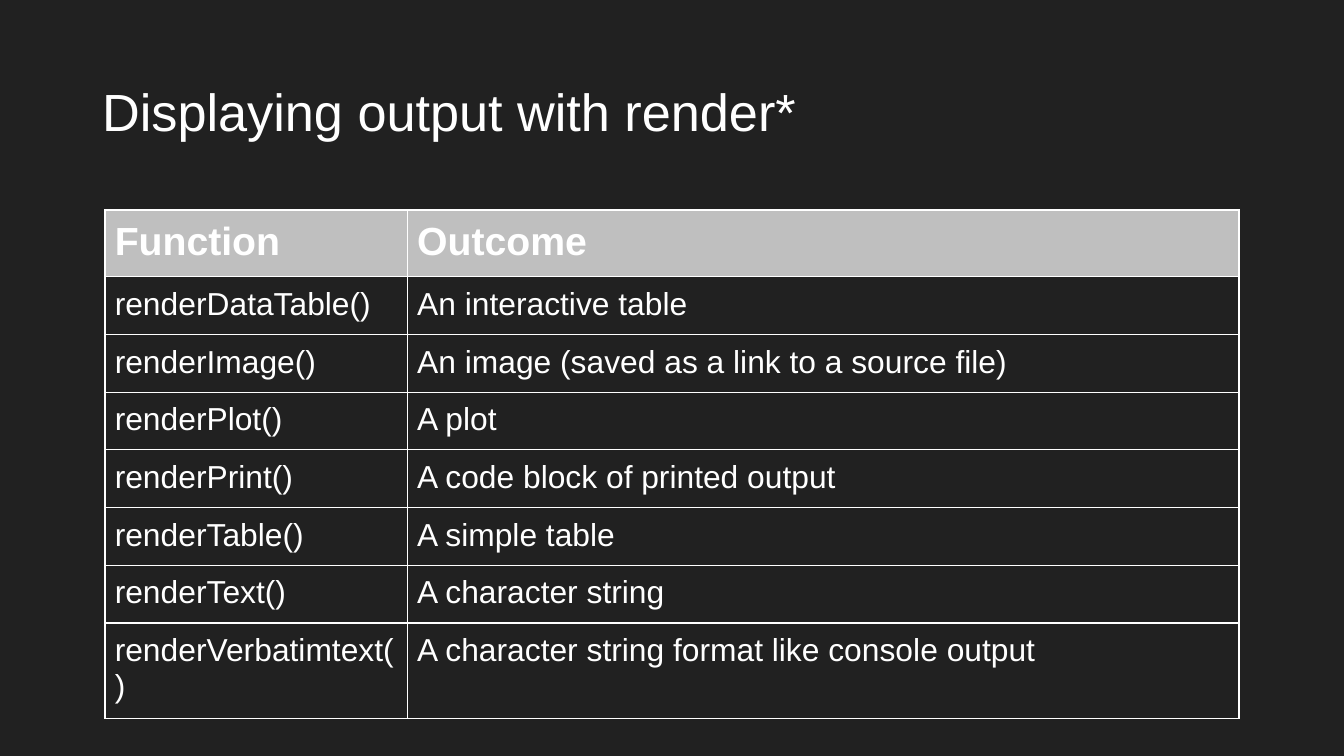
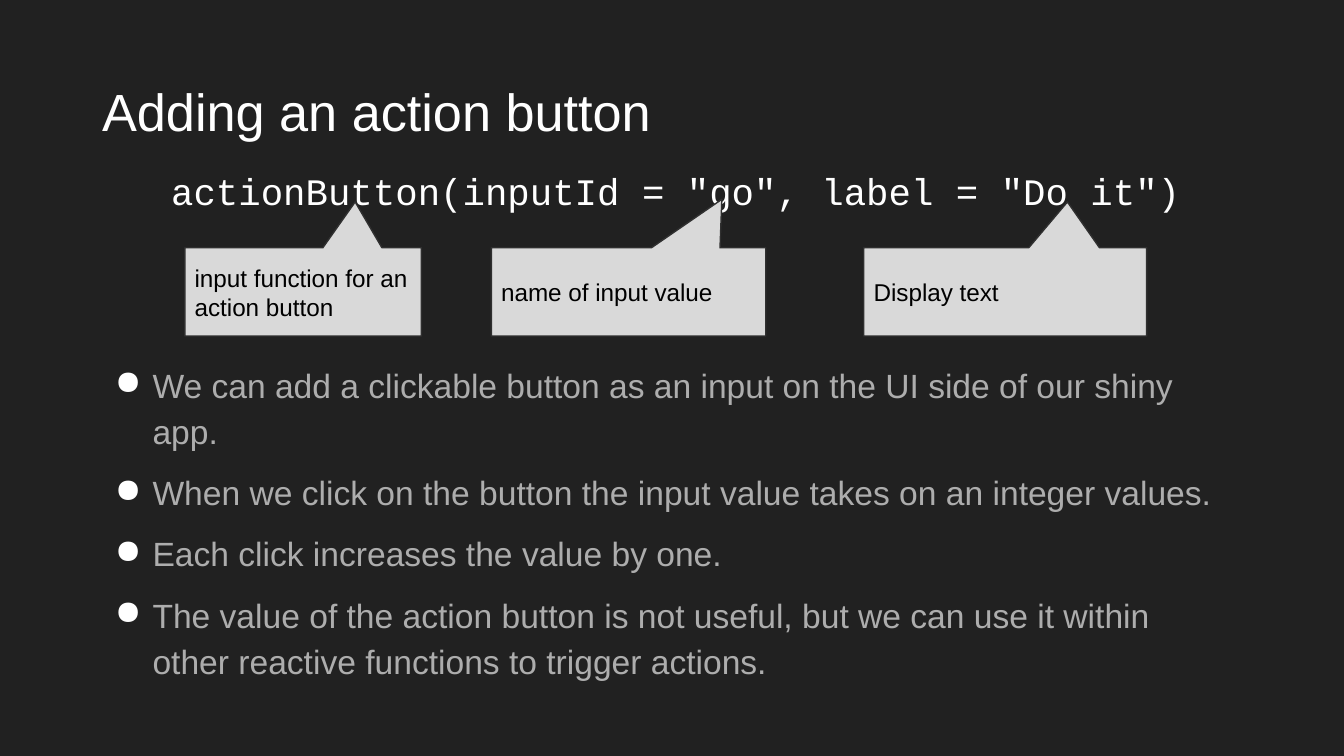
from lxml import etree
from pptx import Presentation
from pptx.dml.color import RGBColor
from pptx.enum.shapes import MSO_SHAPE
from pptx.enum.text import MSO_ANCHOR, MSO_AUTO_SIZE, PP_ALIGN
from pptx.oxml.ns import qn
from pptx.util import Emu, Pt

CALLOUT = MSO_SHAPE.RECTANGULAR_CALLOUT
TOP, MIDDLE = MSO_ANCHOR.TOP, MSO_ANCHOR.MIDDLE
LEFT, CENTER = PP_ALIGN.LEFT, PP_ALIGN.CENTER
GROW = MSO_AUTO_SIZE.SHAPE_TO_FIT_TEXT

EMU_PER_PX = 9525
WIDTH, HEIGHT = 960, 540
INSET = 7

BACKGROUND = "212121"
WHITE = "FFFFFF"
BLACK = "000000"
BODY_GREY = "ADADAD"
HEADER_GREY = "BFBFBF"
CALLOUT_GREY = "D9D9D9"
CALLOUT_LINE = "303030"
SANS, MONO = "Arial", "Courier New"

RENDER_ROWS = [
    ("Function", "Outcome"),
    ("renderDataTable()", "An interactive table"),
    ("renderImage()", "An image (saved as a link to a source file)"),
    ("renderPlot()", "A plot"),
    ("renderPrint()", "A code block of printed output"),
    ("renderTable()", "A simple table"),
    ("renderText()", "A character string"),
    ("renderVerbatimtext()", "A character string format like console output"),
]
# text, left, width, pointer tip relative to the callout's centre
CALLOUTS = [
    ("input function for an action button", 132, 169, (0.22, -1.02)),
    ("name of input value", 351, 196, (0.34, -1.05)),
    ("Display text", 617, 202, (0.22, -1.02)),
]
BUTTON_NOTES = [
    "We can add a clickable button as an input on the UI side of our shiny app.",
    "When we click on the button the input value takes on an integer values.",
    "Each click increases the value by one.",
    "The value of the action button is not useful, but we can use it within\v"
    "other reactive functions to trigger actions.",
]


def px(length):
    return Emu(length * EMU_PER_PX)


def color(hex_value):
    return RGBColor.from_string(hex_value)


def add_bullet(paragraph, hex_value, indent=36, hang=27):
    properties = paragraph._p.get_or_add_pPr()
    properties.set("marL", str(px(indent)))
    properties.set("indent", str(px(-hang)))
    bullet_color = etree.SubElement(properties, qn("a:buClr"))
    etree.SubElement(bullet_color, qn("a:srgbClr"), val=hex_value)
    etree.SubElement(properties, qn("a:buChar"), char="●")


def add_borders(cell, hex_value, width=Pt(0.75)):
    properties = cell._tc.get_or_add_tcPr()
    for side in ("lnL", "lnR", "lnT", "lnB"):
        line = etree.SubElement(properties, qn(f"a:{side}"), w=str(width))
        fill = etree.SubElement(line, qn("a:solidFill"))
        etree.SubElement(fill, qn("a:srgbClr"), val=hex_value)


def write(frame, text, size=18, font=SANS, fill=WHITE, bold=False, align=LEFT,
          spacing=1.0, gap=0, bullet=None):
    """Fill a text frame; a list of strings gives one paragraph each."""
    lines = [text] if isinstance(text, str) else text
    for index, line in enumerate(lines):
        paragraph = frame.add_paragraph() if index else frame.paragraphs[0]
        paragraph.text = line
        paragraph.alignment = align
        paragraph.line_spacing = spacing
        paragraph.space_before = Pt(gap if index else 0)
        if bullet:
            add_bullet(paragraph, bullet)
        paragraph.font.size = Pt(size)
        paragraph.font.name = font
        paragraph.font.bold = bold
        paragraph.font.color.rgb = color(fill)


class Deck:
    """Holds the presentation, its shared style and the current slide."""

    def __init__(self):
        self.presentation = Presentation()
        self.presentation.slide_width = px(WIDTH)
        self.presentation.slide_height = px(HEIGHT)
        self.slide = None

    def new_slide(self, title):
        layout = self.presentation.slide_layouts[6]
        self.slide = self.presentation.slides.add_slide(layout)
        background = self.slide.background.fill
        background.solid()
        background.fore_color.rgb = color(BACKGROUND)
        self.text(title, 66, 29, 828, 105, anchor=MIDDLE, inset_y=4,
                  size=28, spacing=0.9)

    def frame(self, shape, anchor, inset_y=INSET):
        frame = shape.text_frame
        frame.word_wrap = True
        frame.vertical_anchor = anchor
        frame.margin_left = frame.margin_right = px(INSET)
        frame.margin_top = frame.margin_bottom = px(inset_y)
        return frame

    def text(self, text, left, top, width, height, anchor=TOP, inset_y=INSET,
             grow=False, **style):
        box = self.slide.shapes.add_textbox(px(left), px(top), px(width), px(height))
        frame = self.frame(box, anchor, inset_y)
        if grow:
            frame.auto_size = GROW
        write(frame, text, **style)

    def callout(self, text, left, top, width, height, tip):
        shape = self.slide.shapes.add_shape(
            CALLOUT, px(left), px(top), px(width), px(height))
        shape.shadow.inherit = False
        shape.adjustments[0], shape.adjustments[1] = tip
        shape.fill.solid()
        shape.fill.fore_color.rgb = color(CALLOUT_GREY)
        shape.line.color.rgb = color(CALLOUT_LINE)
        shape.line.width = Pt(0.75)
        write(self.frame(shape, MIDDLE), text, size=13, fill=BLACK)

    def table(self, rows, left, top, column_widths, row_height):
        table = self.slide.shapes.add_table(
            len(rows), len(column_widths), px(left), px(top),
            px(sum(column_widths)), px(row_height * len(rows))).table
        table.horz_banding = False
        for column, width in zip(table.columns, column_widths):
            column.width = px(width)
        for row_index, row in enumerate(rows):
            header = row_index == 0
            for column_index, text in enumerate(row):
                cell = table.cell(row_index, column_index)
                cell.margin_left = cell.margin_right = px(INSET)
                cell.margin_top = cell.margin_bottom = px(INSET)
                add_borders(cell, WHITE)
                if header:
                    cell.fill.solid()
                    cell.fill.fore_color.rgb = color(HEADER_GREY)
                else:
                    cell.fill.background()
                write(cell.text_frame, text, size=21 if header else 17, bold=header)


def main():
    deck = Deck()

    deck.new_slide("Displaying output with render*")
    deck.table(RENDER_ROWS, 75, 150, (216, 594), 30)

    deck.new_slide("Adding an action button")
    deck.text(BUTTON_NOTES, 66, 252, 828, 234, inset_y=4, fill=BODY_GREY,
              spacing=1.15, gap=8, bullet=WHITE)
    deck.text('actionButton(inputId = "go", label = "Do it")', 22, 108, 922, 47,
              grow=True, size=20, font=MONO, align=CENTER, spacing=1.15)
    for text, left, width, tip in CALLOUTS:
        deck.callout(text, left, 177, width, 63, tip)

    deck.presentation.save("out.pptx")


if __name__ == "__main__":
    main()
